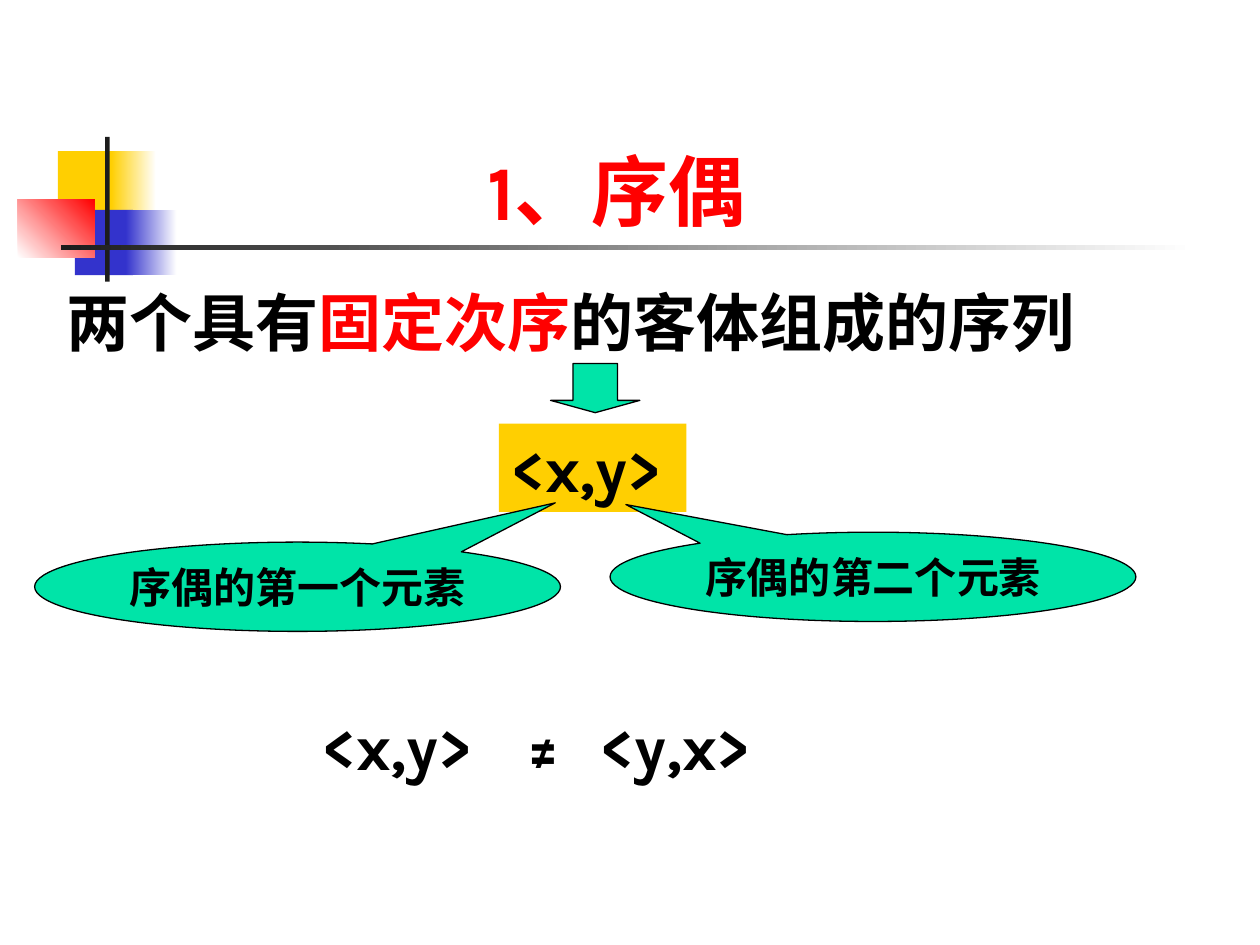
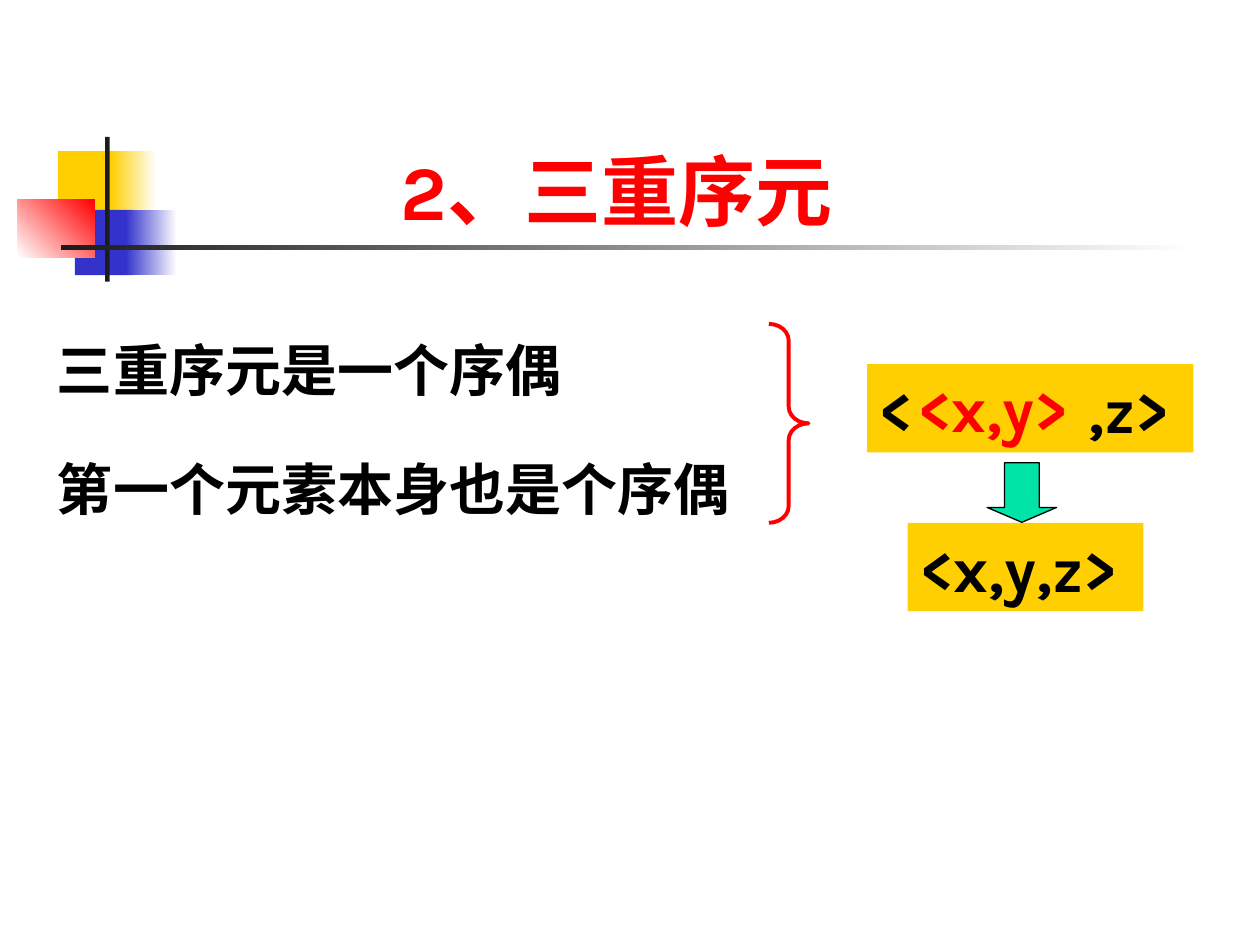
import pptx
import pptx.util
import pptx.dml.color
import pptx.enum.shapes
import pptx.enum.text

Cm = pptx.util.Cm
Pt = pptx.util.Pt
RGB = pptx.dml.color.RGBColor
KIND = pptx.enum.shapes.MSO_SHAPE
CENTER = pptx.enum.text.PP_ALIGN.CENTER

FONT = "Karla"
WHITE = RGB(0xFF, 0xFF, 0xFF)
BLACK = RGB(0x00, 0x00, 0x00)
RED = RGB(0xFF, 0x00, 0x00)
GOLD = RGB(0xFF, 0xCF, 0x01)
BLUE = RGB(0x33, 0x33, 0xCC)
DARK = RGB(0x1C, 0x1C, 0x1C)
GREEN = RGB(0x00, 0xE4, 0xA8)

# left, top, width, height, start colour, end colour, angle
MARKS = [
    (1.17, 3.05, 1.22, 1.32, GOLD, GOLD, 0),
    (2.24, 3.05, 0.91, 1.32, GOLD, WHITE, 0),
    (1.51, 4.23, 1.17, 1.32, BLUE, BLUE, 0),
    (2.54, 4.23, 1.02, 1.32, BLUE, WHITE, 0),
    (0.36, 4.02, 1.55, 1.17, WHITE, RED, 45),
    (2.12, 2.76, 0.09, 2.92, DARK, DARK, 0),
    (1.23, 4.94, 22.86, 0.1, DARK, WHITE, 0),
]


def style(shape, size, ink):
    for para in shape.text_frame.paragraphs:
        for run in para.runs:
            run.font.name = FONT
            run.font.size = Pt(size)
            run.font.bold = True
            run.font.color.rgb = ink


def label(slide, text, left, top, width, size=36, ink=BLACK, fill=None):
    """Add a one-line text box, as high as its text, with an optional fill."""
    height = 1.78 if size == 36 else 1.62
    box = slide.shapes.add_textbox(Cm(left), Cm(top), Cm(width), Cm(height))
    frame = box.text_frame
    frame.text = text
    frame.word_wrap = False
    frame.auto_size = pptx.enum.text.MSO_AUTO_SIZE.SHAPE_TO_FIT_TEXT
    style(box, size, ink)
    if fill is not None:
        box.fill.solid()
        box.fill.fore_color.rgb = fill
    return box


deck = pptx.Presentation()
deck.slide_width = Cm(25.4)
deck.slide_height = Cm(19.05)

# Shared frame: corner marks, rule and title
for name in ["1、序偶", "2、三重序元"]:
    slide = deck.slides.add_slide(deck.slide_layouts[5])
    for left, top, width, height, start, end, angle in MARKS:
        mark = slide.shapes.add_shape(
            KIND.RECTANGLE, Cm(left), Cm(top), Cm(width), Cm(height))
        mark.shadow.inherit = False
        mark.line.fill.background()
        if start == end:
            mark.fill.solid()
            mark.fill.fore_color.rgb = start
        else:
            mark.fill.gradient()
            mark.fill.gradient_angle = angle
            for stop, color in zip(mark.fill.gradient_stops, (start, end)):
                stop.color.rgb = color
    title = slide.shapes.title
    title.left, title.top = Cm(0), Cm(1.7)
    title.width, title.height = Cm(24.86), Cm(3.18)
    title.text_frame.text = name
    title.text_frame.vertical_anchor = pptx.enum.text.MSO_ANCHOR.BOTTOM
    title.text_frame.paragraphs[0].alignment = CENTER
    style(title, 44, RED)

pair, triple = deck.slides

# Slide 1: ordered pair
rule = label(pair, "两个具有", 1.1, 5.59, 20.9)
for part in ["固定次序", "的客体组成的序列"]:
    rule.text_frame.paragraphs[0].add_run().text = part
style(rule, 36, BLACK)
rule.text_frame.paragraphs[0].runs[1].font.color.rgb = RED
label(pair, "<x,y>", 10.06, 8.54, 3.78, fill=GOLD)
for text, left, width in [
    ("≠", 10.37, 1.22), ("<x,y>", 6.25, 3.78), ("<y,x>", 11.86, 3.78),
]:
    label(pair, text, left, 14.13, width)

# Slide 2: ordered triple
for text, top, width in [
    ("三重序元是一个序偶", 6.63, 10.9), ("第一个元素本身也是个序偶", 9.04, 14.3),
]:
    label(triple, text, 0.9, top, width, size=32)
brace = triple.shapes.add_shape(
    KIND.RIGHT_BRACE, Cm(15.5), Cm(6.53), Cm(0.8), Cm(4.01))
brace.shadow.inherit = False
brace.adjustments[0] = 0.42
brace.fill.background()
brace.line.color.rgb = RED
brace.line.width = Pt(2.25)
outer = label(triple, "<\t,z>", 17.48, 7.34, 6.58, fill=GOLD)
props = outer.text_frame.paragraphs[0]._p.get_or_add_pPr()
tabs = props.makeelement(pptx.oxml.ns.qn("a:tabLst"), {})
props.append(tabs)
tabs.append(tabs.makeelement(
    pptx.oxml.ns.qn("a:tab"), {"pos": str(Cm(4.22)), "algn": "l"}))
label(triple, "<x,y,z>", 18.3, 10.54, 4.75, fill=GOLD)
label(triple, "<x,y>", 18.26, 7.32, 3.78, ink=RED)

# Green arrows and callouts
for slide, kind, left, top, width, height, adjust, text in [
    (pair, KIND.DOWN_ARROW, 11.1, 7.33, 1.8, 0.99, (0.5, 0.25), ""),
    (pair, KIND.OVAL_CALLOUT, 0.7, 10.93, 10.6, 1.8, (0.49, -0.94),
     "序偶的第一个元素"),
    (pair, KIND.OVAL_CALLOUT, 12.3, 10.73, 10.6, 1.8, (-0.47, -0.81),
     "序偶的第二个元素"),
    (triple, KIND.DOWN_ARROW, 19.9, 9.33, 1.4, 1.2, (0.5, 0.25), ""),
]:
    shape = slide.shapes.add_shape(
        kind, Cm(left), Cm(top), Cm(width), Cm(height))
    shape.shadow.inherit = False
    shape.adjustments[0], shape.adjustments[1] = adjust
    shape.fill.solid()
    shape.fill.fore_color.rgb = GREEN
    shape.line.color.rgb = BLACK
    shape.line.width = Pt(0.75)
    if text:
        shape.text_frame.text = text
        shape.text_frame.paragraphs[0].alignment = CENTER
        style(shape, 24, BLACK)

deck.save("out.pptx")
